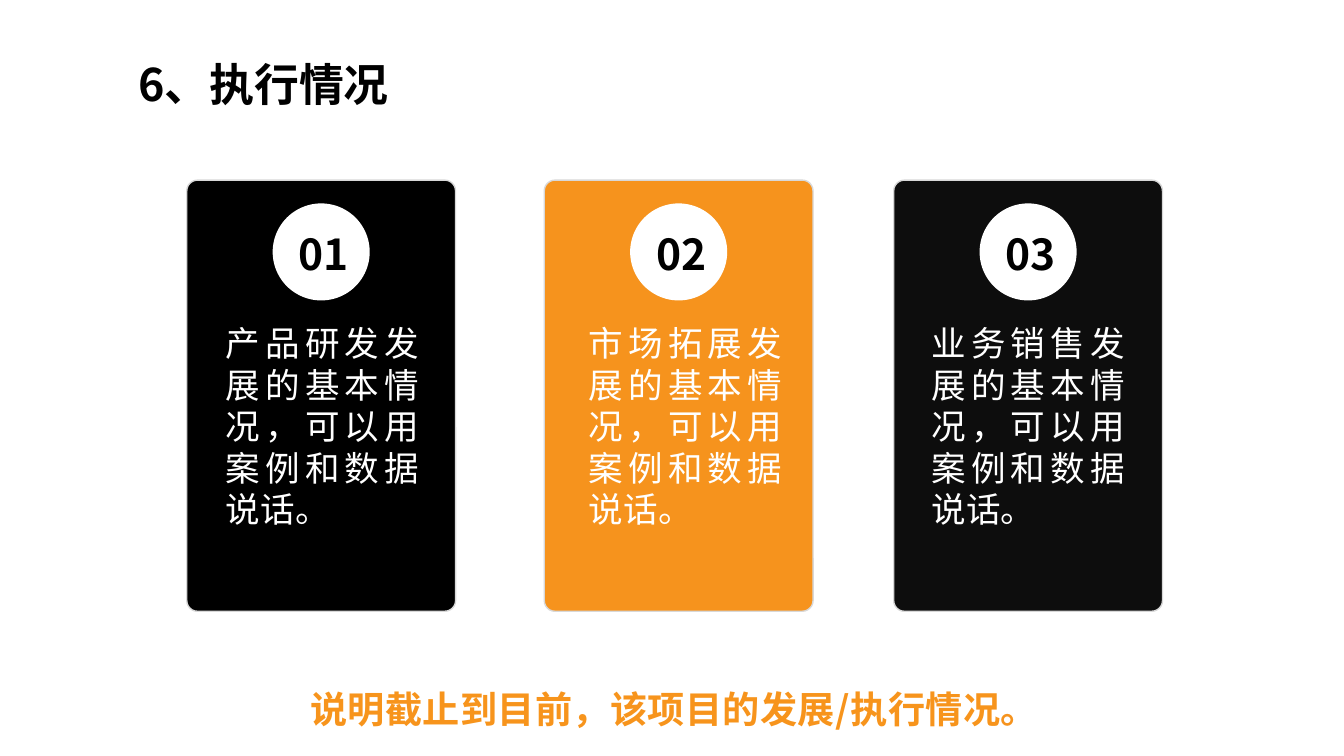
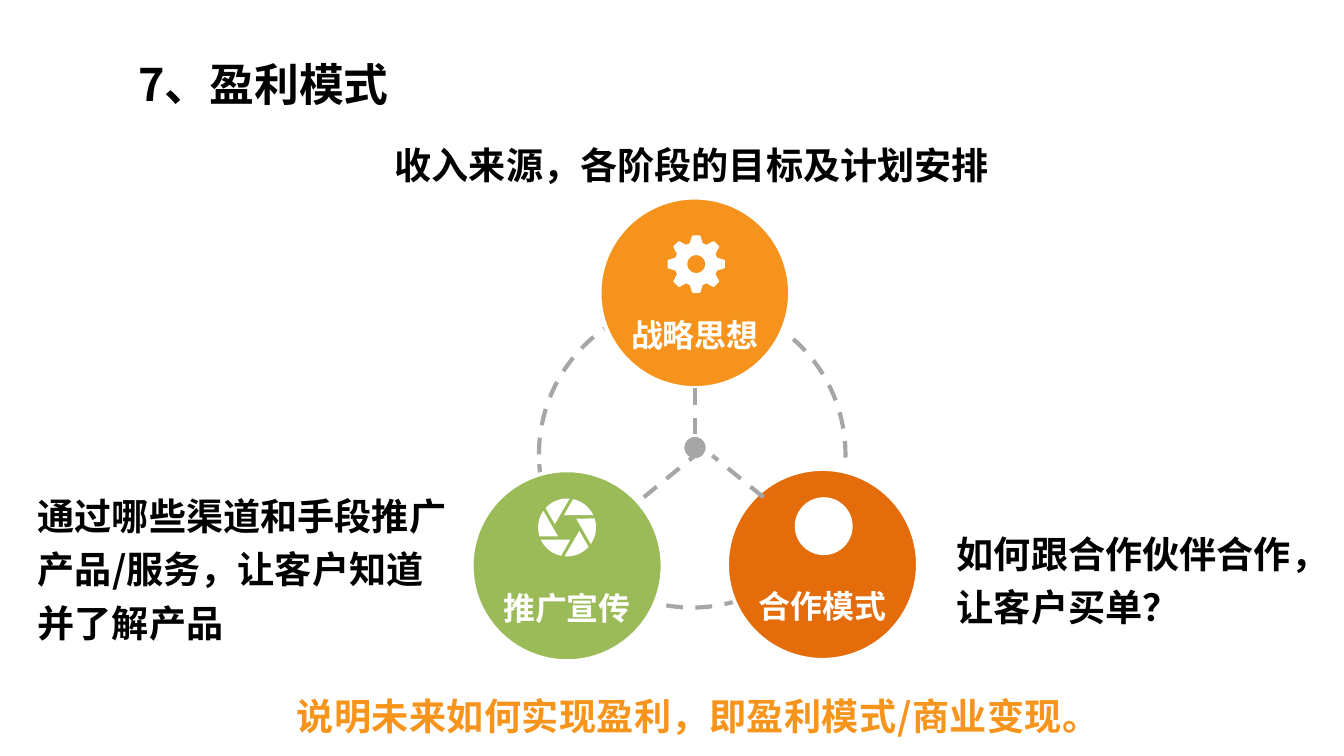
from math import cos, radians, sin

from lxml import etree
from pptx import Presentation
from pptx.dml.color import RGBColor
from pptx.enum.dml import MSO_LINE
from pptx.enum.shapes import MSO_CONNECTOR, MSO_SHAPE
from pptx.enum.text import MSO_ANCHOR, MSO_AUTO_SIZE, PP_ALIGN
from pptx.oxml.ns import qn
from pptx.util import Pt

OVAL = MSO_SHAPE.OVAL
ROUNDED = MSO_SHAPE.ROUNDED_RECTANGLE
STRAIGHT = MSO_CONNECTOR.STRAIGHT
DASH = MSO_LINE.DASH
TOP, MIDDLE, BOTTOM = MSO_ANCHOR.TOP, MSO_ANCHOR.MIDDLE, MSO_ANCHOR.BOTTOM
LEFT, CENTER, JUSTIFY = PP_ALIGN.LEFT, PP_ALIGN.CENTER, PP_ALIGN.JUSTIFY
GROW = MSO_AUTO_SIZE.SHAPE_TO_FIT_TEXT

FONT = "Noto Sans CJK SC"
BLACK, INK, WHITE = "000000", "0D0D0D", "FFFFFF"
ORANGE, SLOGAN_ORANGE = "F6931D", "F7941C"
RUST, GREEN = "E46C0A", "9BBB59"
GREY, CARD_EDGE = "A6A6A6", "D8D8D8"

CARD_TOP, CARD_WIDTH, CARD_HEIGHT = 96.5, 144, 231
BADGE = 52
TOPIC = 102.2
ICON_RADIUS = 15.5


def color(hex_text):
    return RGBColor.from_string(hex_text)


def box(left, top, width, height):
    return Pt(left), Pt(top), Pt(width), Pt(height)


def add_run(paragraph, text, size, ink, bold=False, spacing=0):
    run = paragraph.add_run()
    run.text = text
    font = run.font
    font.size, font.bold = Pt(size), bold
    font.color.rgb = color(ink)
    font.name = FONT
    properties = run._r.get_or_add_rPr()
    etree.SubElement(properties, qn("a:ea")).set("typeface", FONT)
    if spacing:
        properties.set("spc", str(round(spacing * 100)))


def add_text(slide, place, runs, align=LEFT, anchor=TOP, wrap=True,
             grow=False, insets=(7.2, 3.6, 7.2, 3.6), line_spacing=None):
    frame = slide.shapes.add_textbox(*box(*place)).text_frame
    frame.word_wrap = wrap
    frame.vertical_anchor = anchor
    if grow:
        frame.auto_size = GROW
    (frame.margin_left, frame.margin_top,
     frame.margin_right, frame.margin_bottom) = map(Pt, insets)
    paragraph = frame.paragraphs[0]
    paragraph.alignment = align
    if line_spacing:
        paragraph.line_spacing = line_spacing
    for run in runs:
        add_run(paragraph, *run)
    return paragraph


def paint(shape, fill=None, edge=None, edge_width=0):
    shape.shadow.inherit = False
    if fill:
        shape.fill.solid()
        shape.fill.fore_color.rgb = color(fill)
    else:
        shape.fill.background()
    if edge:
        shape.line.color.rgb = color(edge)
        shape.line.width = Pt(edge_width)
    else:
        shape.line.fill.background()
    return shape


def add_circle(slide, left, top, size, fill=None, edge=None, edge_width=0):
    circle = slide.shapes.add_shape(OVAL, *box(left, top, size, size))
    return paint(circle, fill, edge, edge_width)


def add_spoke(slide, start, end):
    spoke = slide.shapes.add_connector(STRAIGHT, *map(Pt, start + end))
    spoke.line.color.rgb = color(GREY)
    spoke.line.width = Pt(2.25)
    spoke.line.dash_style = DASH
    etree.SubElement(spoke._element.spPr, qn("a:effectLst"))


def polar(center, radius, degrees):
    angle = radians(degrees)
    return (Pt(center[0] + radius * cos(angle)),
            Pt(center[1] + radius * sin(angle)))


def add_outline(slide, contours):
    first, *others = contours
    builder = slide.shapes.build_freeform(*first[0])
    builder.add_line_segments(first[1:])
    for contour in others:
        builder.move_to(*contour[0])
        builder.add_line_segments(contour[1:])
    paint(builder.convert_to_shape(), WHITE)


def add_gear(slide, center):
    profile = [(-17, 11.7), (-9, 15), (-7, ICON_RADIUS),
               (7, ICON_RADIUS), (9, 15), (17, 11.7)]
    teeth = [polar(center, radius, 45 * tooth + offset)
             for tooth in range(8) for offset, radius in profile]
    hole = [polar(center, 4.8, -step) for step in range(0, 360, 10)]
    add_outline(slide, [teeth, hole])


def add_aperture(slide, center):
    blades = []
    for turn in range(0, 360, 60):
        rim = [polar(center, ICON_RADIUS, -85 - turn - 5.3 * step)
               for step in range(11)]
        blades.append(rim + [polar(center, 6.8, -164.5 - turn)])
    add_outline(slide, blades)


def add_title(slide, text):
    paragraph = add_text(slide, (67, 12.2, 647, 65.5),
                         [(text, 24, BLACK, True)], anchor=MIDDLE)
    properties = paragraph._p.get_or_add_pPr()
    properties.set("marL", str(Pt(72)))
    properties.set("indent", str(-Pt(72)))


def add_slogan(slide, left, top, width, text):
    add_text(slide, (left, top, width, 31.7),
             [(text, 19.9, SLOGAN_ORANGE, True, 0.2),
              ("。", 19.9, ORANGE, True)], wrap=False, grow=True)


def add_card(slide, number, left, fill, text_left, subject):
    card = slide.shapes.add_shape(
        ROUNDED, *box(left, CARD_TOP, CARD_WIDTH, CARD_HEIGHT))
    card.adjustments[0] = 0.04
    paint(card, fill, CARD_EDGE)
    add_circle(slide, left + (CARD_WIDTH - BADGE) / 2, 109, BADGE, WHITE)
    add_text(slide, (left + 52.8, 118.8, 42.5, 34.6),
             [(f"{number:02}", 22.8, BLACK, True)], wrap=False, grow=True)
    add_text(slide, (text_left, 169.2, 118, 119.5),
             [(subject + "发展的基本情况，可以用案例和数据说话。",
               18.5, WHITE, False, 0.2)], align=JUSTIFY, grow=True)


def add_topic(slide, left, top, fill, label, edge_width=2):
    topic = add_circle(slide, left, top, TOPIC, fill, WHITE, edge_width)
    frame = topic.text_frame
    frame.word_wrap = False
    frame.vertical_anchor = BOTTOM
    paragraph = frame.paragraphs[0]
    paragraph.alignment = CENTER
    add_run(paragraph, label, 17.1, WHITE, True)


def add_remark(slide, place, text, insets, align=LEFT):
    add_text(slide, place, [(text, 19.9, BLACK, True)], align=align,
             anchor=MIDDLE, insets=insets, line_spacing=1.2)


def build_progress(slide):
    cards = [(100.1, BLACK, 113.8, "产品研发"),
             (291.6, ORANGE, 308.2, "市场拓展"),
             (478.8, INK, 491.8, "业务销售")]
    add_slogan(slide, 159.1, 364.3, 409.7,
               "说明截止到目前，该项目的发展/执行情况")
    for number, card in enumerate(cards, 1):
        add_card(slide, number, *card)
    add_title(slide, "6、执行情况")


def build_profit(slide):
    orbit = add_circle(slide, 288.7, 161.3, 164.2, None, GREY, 2.25)
    orbit.line.dash_style = DASH
    add_circle(slide, 365.8, 233.3, 13, GREY, WHITE, 1.5)
    add_topic(slide, 389.5, 251.3, RUST, "合作模式")
    add_topic(slide, 252.7, 252, GREEN, "推广宣传")
    add_topic(slide, 321.1, 105.8, ORANGE, "战略思想", 2.25)
    for start, end in [((372.2, 208.1), (372.2, 233.3)),
                       ((344.9, 266.4), (372.2, 244.1)),
                       ((409, 266.4), (381.6, 244.1))]:
        add_spoke(slide, start, end)
    add_circle(slide, 425.8, 266.4, 2 * ICON_RADIUS, WHITE)
    add_aperture(slide, (303.8, 282.6))
    add_gear(slide, (373, 141.5))
    add_remark(slide, (20.2, 259.9, 240.5, 85),
               "通过哪些渠道和手段推广产品/服务，让客户知道并了解产品",
               (0, 0, 15.8, 0))
    add_remark(slide, (496.8, 288.7, 229, 39.6),
               "如何跟合作伙伴合作，让客户买单？", (15.8, 0, 0, 0))
    add_remark(slide, (179.3, 66.2, 383, 39.6),
               "收入来源，各阶段的目标及计划安排", (0, 0, 0, 0), CENTER)
    add_slogan(slide, 151.9, 367.9, 450,
               "说明未来如何实现盈利，即盈利模式/商业变现")
    add_title(slide, "7、盈利模式")


def main():
    deck = Presentation()
    deck.slide_width, deck.slide_height = Pt(720), Pt(405)
    blank = deck.slide_layouts[6]
    for build in (build_progress, build_profit):
        build(deck.slides.add_slide(blank))
    deck.save("out.pptx")


if __name__ == "__main__":
    main()
